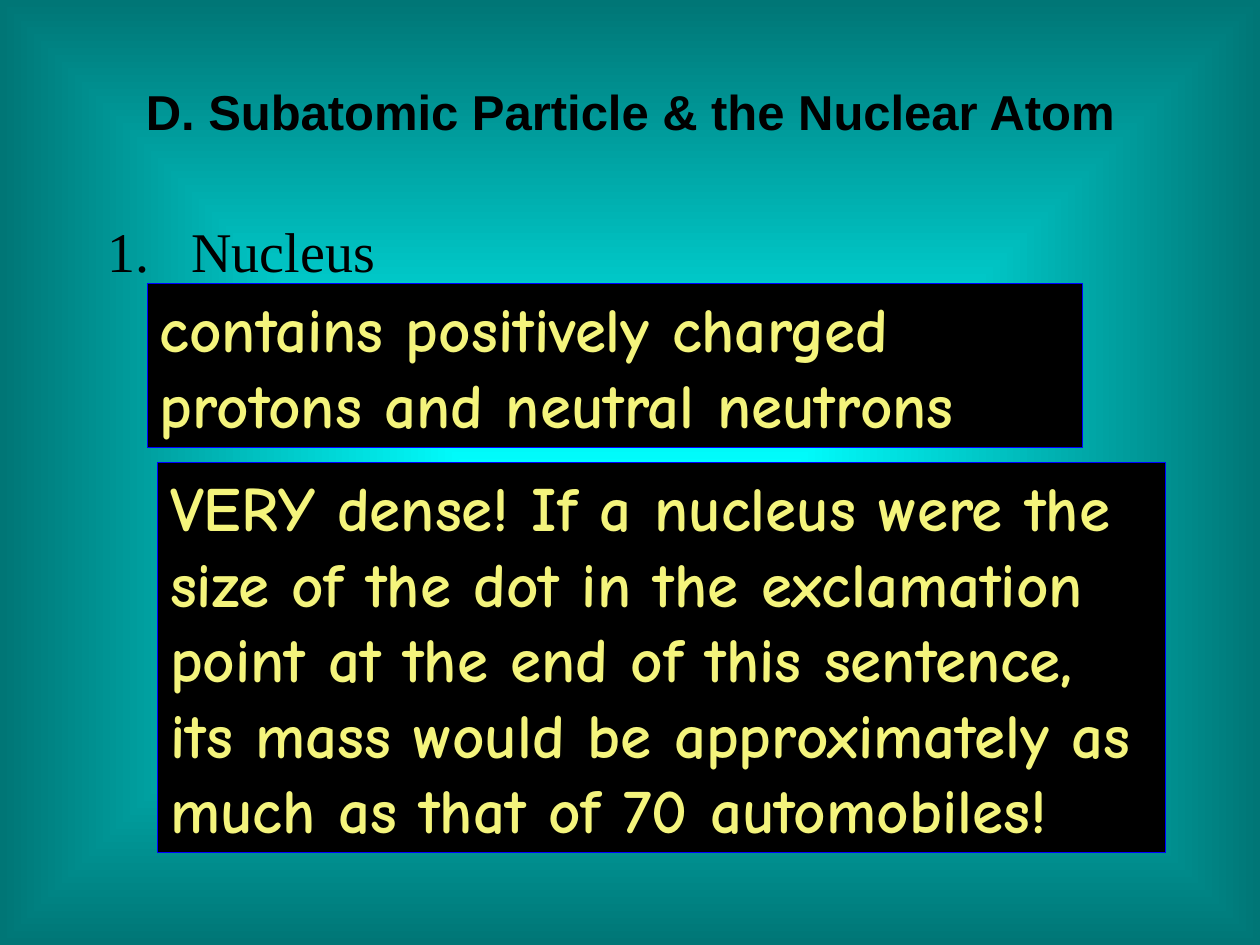
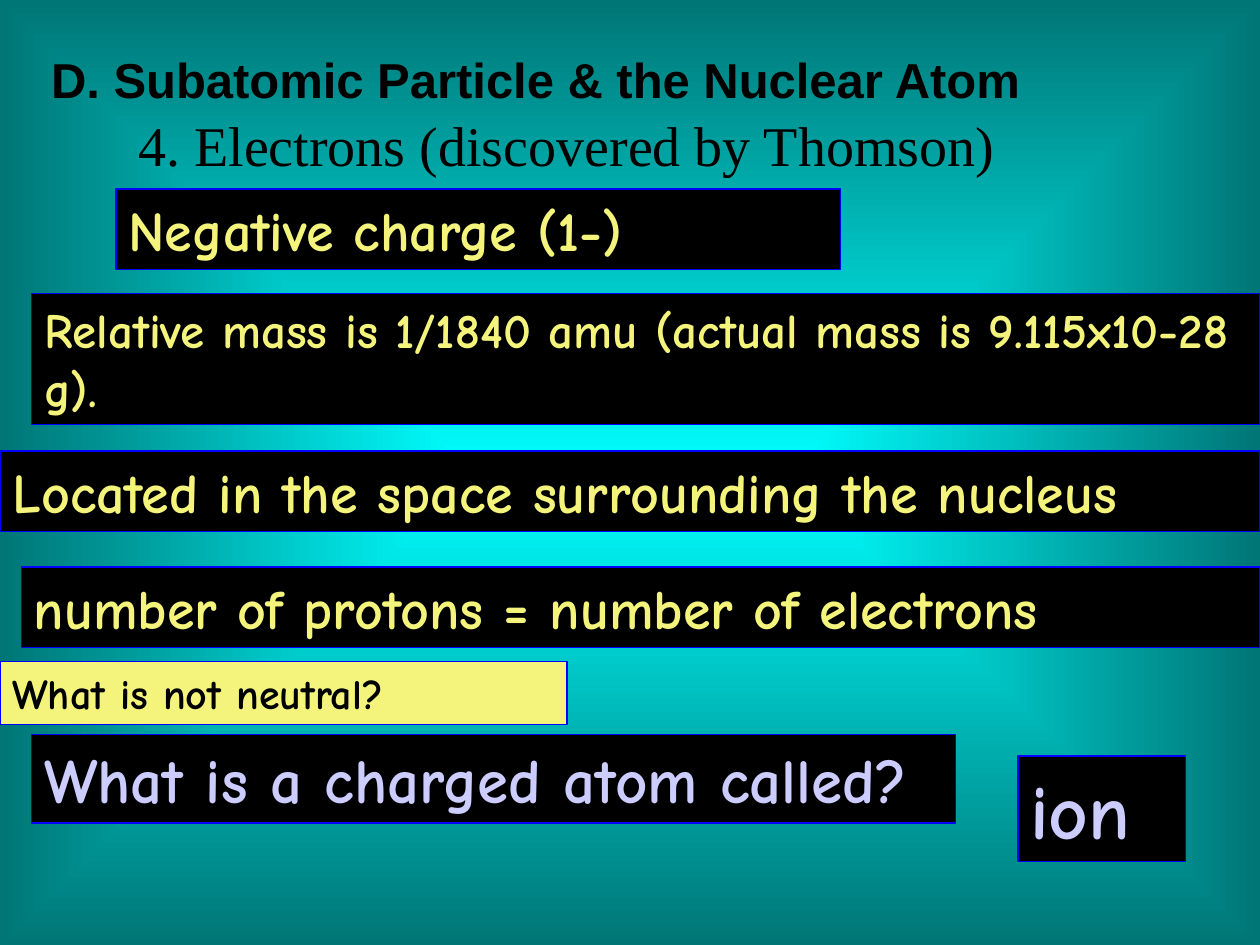
"""Build two slides on subatomic particles and the nuclear atom."""
from pptx import Presentation
from pptx import util as u
from pptx.dml.color import RGBColor
from pptx.enum import shapes, text
from pptx.oxml import parse_xml
from pptx.oxml.ns import nsdecls, qn

BLACK = RGBColor(0x00, 0x00, 0x00)
BLUE = RGBColor(0x00, 0x00, 0xFF)
YELLOW = RGBColor(0xF4, 0xF4, 0x7C)
LAVENDER = RGBColor(0xCC, 0xCC, 0xFF)
CYAN = RGBColor(0x00, 0xFF, 0xFF)
TEAL = RGBColor(0x00, 0x76, 0x76)

TITLE = "D. Subatomic Particle & the Nuclear Atom"
TITLE_FONT = {"name": "Arial", "size": u.Pt(28), "bold": True}
HEADING_FONT = {"name": "Times New Roman", "size": u.Pt(32)}
NOTE_FONT = {"name": "Comic Neue", "bold": True}
TITLE_SIZE = (21.59, 3.18)
NUMBER_INDENT = 1.7

FACT = (BLACK, YELLOW)
ASIDE = (YELLOW, BLACK)
QUESTION = (BLACK, LAVENDER)

SLIDES = [
    {
        "title_at": (1.91, 0.64),
        "heading": ("Nucleus", (1.91, 4.24, 8.05, 1.91), True),
        "notes": [
            ("contains positively charged protons and neutral neutrons",
             36, FACT, (2.97, 5.72, 18.85, 3.3)),
            ("VERY dense! If a nucleus were the size of the dot in the "
             "exclamation point at the end of this sentence, its mass would "
             "be approximately as much as that of 70 automobiles!",
             36, FACT, (3.18, 9.32, 20.32, 7.87)),
        ],
    },
    {
        "title_at": (0, 0),
        "heading": ("4. Electrons (discovered by Thomson)",
                    (2.54, 2.11, 22.02, 1.91), False),
        "notes": [
            ("Negative charge (1-)", 32, FACT, (2.34, 3.81, 14.61, 1.63)),
            ("Relative mass is 1/1840 amu (actual mass is 9.115x10-28 g).",
             28, FACT, (0.64, 5.92, 24.76, 2.64)),
            ("Located in the space surrounding the nucleus",
             32, FACT, (0, 9.09, 25.4, 1.63)),
            ("number of protons = number of electrons",
             32, FACT, (0.43, 11.43, 24.97, 1.63)),
            ("What is not neutral?", 24, ASIDE, (0, 13.34, 11.43, 1.27)),
            ("What is a charged atom called?",
             36, QUESTION, (0.64, 14.81, 18.62, 1.78)),
            ("ion", 44, QUESTION, (20.52, 15.24, 3.38, 2.13)),
        ],
    },
]


def lengths(place):
    return [u.Cm(value) for value in place]


def set_all(target, values):
    for name, value in values.items():
        setattr(target, name, value)


def write(shape, words, font, color, align, anchor, fit=text.MSO_AUTO_SIZE.NONE):
    frame = shape.text_frame
    set_all(frame, {"word_wrap": True, "auto_size": fit, "vertical_anchor": anchor})
    para = frame.paragraphs[0]
    para.alignment = align
    span = para.add_run()
    span.text = words
    set_all(span.font, font)
    span.font.color.rgb = color
    return para


def paint_background(master):
    fill = master.background.fill
    fill.gradient()
    for stop, color in zip(fill.gradient_stops, (CYAN, TEAL)):
        stop.color.rgb = color
    line = master.element.find(".//" + qn("p:bgPr")).find(".//" + qn("a:lin"))
    line.getparent().replace(line, parse_xml(
        f'<a:path {nsdecls("a")} path="rect"><a:fillToRect l="50000" t="50000" '
        'r="50000" b="50000"/></a:path>'))


def add_title(page, corner):
    title = page.shapes.title
    places = lengths(corner + TITLE_SIZE)
    set_all(title, dict(zip(("left", "top", "width", "height"), places)))
    write(title, TITLE, TITLE_FONT, BLACK,
          text.PP_ALIGN.CENTER, text.MSO_ANCHOR.MIDDLE)


def add_heading(page, words, place, numbered):
    box = page.shapes.add_textbox(*lengths(place))
    para = write(box, words, HEADING_FONT, BLACK,
                 text.PP_ALIGN.LEFT, text.MSO_ANCHOR.TOP)
    if numbered:
        settings = para._p.get_or_add_pPr()
        settings.set("marL", str(u.Cm(NUMBER_INDENT)))
        settings.set("indent", str(-u.Cm(NUMBER_INDENT)))
        settings.append(parse_xml(
            f'<a:buFont {nsdecls("a")} typeface="{HEADING_FONT["name"]}"/>'))
        settings.append(parse_xml(
            f'<a:buAutoNum {nsdecls("a")} type="arabicPeriod"/>'))


def add_note(page, words, size, colors, place):
    back, ink = colors
    box = page.shapes.add_shape(shapes.MSO_SHAPE.RECTANGLE, *lengths(place))
    box.shadow.inherit = False
    box.fill.solid()
    box.fill.fore_color.rgb = back
    box.line.color.rgb = BLUE
    box.line.width = u.Pt(0.75)
    write(box, words, {**NOTE_FONT, "size": u.Pt(size)}, ink, text.PP_ALIGN.LEFT,
          text.MSO_ANCHOR.TOP, text.MSO_AUTO_SIZE.SHAPE_TO_FIT_TEXT)


def main():
    deck = Presentation()
    deck.slide_width, deck.slide_height = lengths((25.4, 19.05))
    paint_background(deck.slide_master)
    for content in SLIDES:
        page = deck.slides.add_slide(deck.slide_layouts.get_by_name("Title Only"))
        add_title(page, content["title_at"])
        add_heading(page, *content["heading"])
        for note in content["notes"]:
            add_note(page, *note)
    deck.save("out.pptx")


if __name__ == "__main__":
    main()
